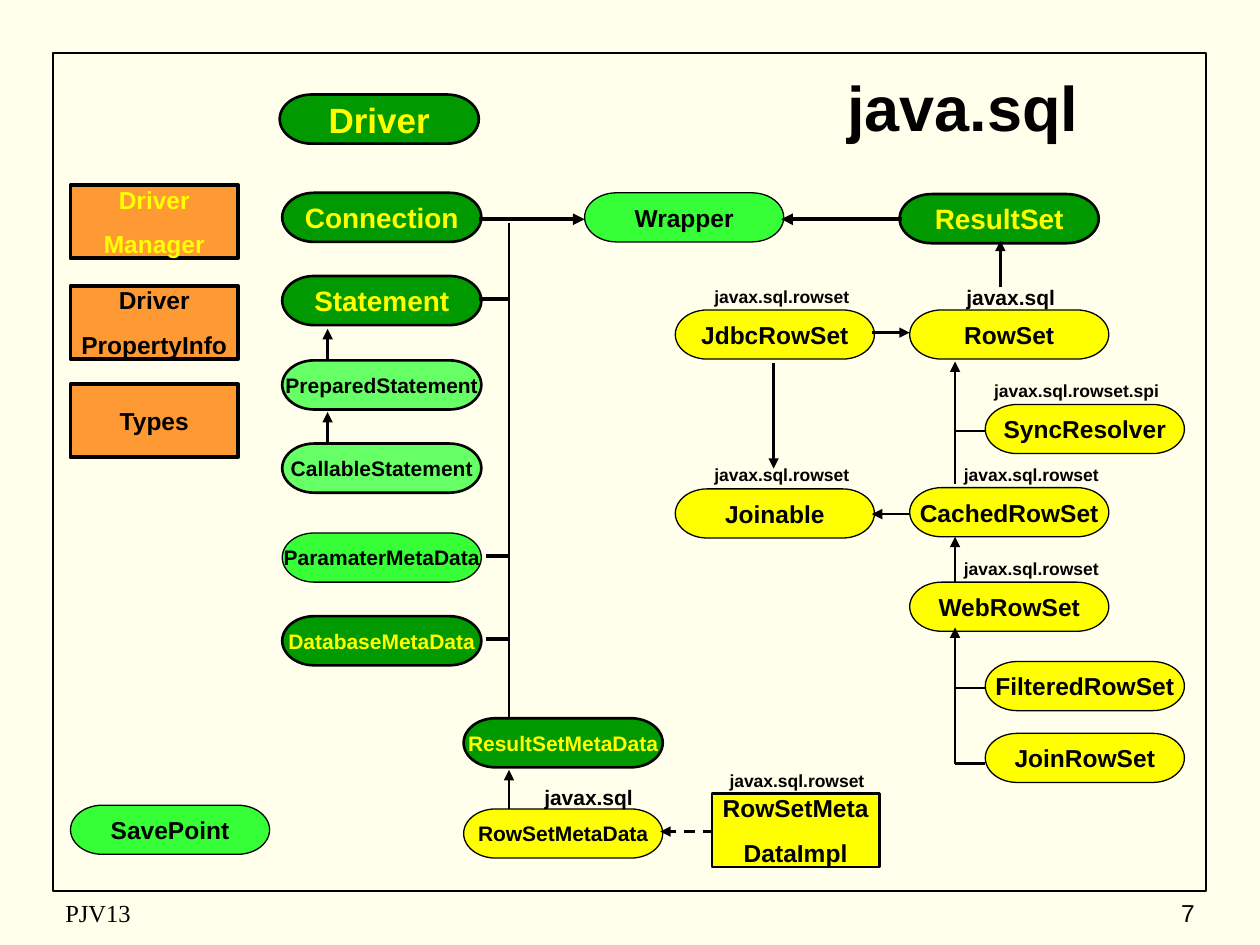
"""Draw the java.sql type map on one slide."""

import dataclasses
import typing

import lxml.etree
import pptx
import pptx.dml.color
import pptx.enum.dml
import pptx.enum.shapes
import pptx.enum.text
import pptx.oxml.ns
import pptx.util

Inches = pptx.util.Inches
Pt = pptx.util.Pt
Kind = pptx.enum.shapes.MSO_SHAPE
Align = pptx.enum.text.PP_ALIGN
Anchor = pptx.enum.text.MSO_ANCHOR


@dataclasses.dataclass(frozen=True)
class Theme:
    """Colours and type sizes of the slide."""

    paper: str = "FFFFEB"
    black: str = "000000"
    yellow: str = "FFFF00"
    dark: str = "009900"
    mid: str = "37FF37"
    pale: str = "66FF66"
    orange: str = "FF9933"
    sans: str = "Arial"
    serif: str = "Times New Roman"
    title: float = 36
    large: float = 20
    head: float = 16
    body: float = 14
    small: float = 12
    tiny: float = 10
    gap: float = 8.8


THEME = Theme()


class Look(typing.NamedTuple):
    """Shape, size and colours shared by like nodes."""

    kind: Kind
    wide: float
    high: float
    fill: str
    ink: str
    line: float


PILL = (Kind.FLOWCHART_TERMINATOR, 1.58, 0.39)
BOX = (Kind.RECTANGLE, 1.33, 0.58)
CORE = Look(*PILL, THEME.dark, THEME.yellow, 1.5)
GREEN = Look(*PILL, THEME.mid, THEME.black, 0.75)
PALE = Look(*PILL, THEME.pale, THEME.black, 1.5)
ROWS = Look(*PILL, THEME.yellow, THEME.black, 0.75)
CLASS = Look(*BOX, THEME.orange, THEME.black, 2.25)
LEAD = CLASS._replace(ink=THEME.yellow)
IMPL = Look(*BOX, THEME.yellow, THEME.black, 1.5)


class Node(typing.NamedTuple):
    """One type on the map."""

    text: str
    left: float
    top: float
    look: Look
    size: float = THEME.body


class Label(typing.NamedTuple):
    """A package name above a node."""

    text: str
    left: float
    top: float
    wide: float = 1.5
    high: float = 0.27
    size: float = THEME.tiny
    inset: float = 0.25


class Link(typing.NamedTuple):
    """A straight line, with an arrow at its end unless bare."""

    x1: float
    y1: float
    x2: float
    y2: float
    width: float = 1.5
    arrow: bool = True
    dash: bool = False


LEFT, STEM, SPINE, COL, SIDE, JOIN = 2.24, 4.04, 7.58, 7.22, 7.82, 5.36
BASE = 5.7

NODES = [
    Node("Driver\nManager", 0.56, 1.47, LEAD),
    Node("Driver\nPropertyInfo", 0.56, 2.27, CLASS),
    Node("Types", 0.56, 3.05, CLASS),
    Node("SavePoint", 0.56, 6.39, GREEN),
    Node("Driver", 2.22, 0.75, CORE, THEME.large),
    Node("Connection", LEFT, 1.53, CORE, THEME.head),
    Node("Statement", LEFT, 2.19, CORE, THEME.head),
    Node("PreparedStatement", LEFT, 2.86, PALE, THEME.small),
    Node("CallableStatement", LEFT, 3.52, PALE, THEME.small),
    Node("ParamaterMetaData", LEFT, 4.23, GREEN, THEME.small),
    Node("DatabaseMetaData", LEFT, 4.89, CORE, THEME.small),
    Node("ResultSetMetaData", 3.68, BASE, CORE, THEME.small),
    Node("RowSetMetaData", 3.68, 6.42, ROWS, THEME.small),
    Node("RowSetMeta\nDataImpl", 5.65, 6.3, IMPL),
    Node("Wrapper", 4.64, 1.53, GREEN),
    Node("ResultSet", 7.14, 1.54, CORE, THEME.head),
    Node("JdbcRowSet", JOIN, 2.46, ROWS),
    Node("Joinable", JOIN, 3.88, ROWS),
    Node("RowSet", COL, 2.46, ROWS),
    Node("CachedRowSet", COL, 3.87, ROWS),
    Node("WebRowSet", COL, 4.62, ROWS),
    Node("SyncResolver", SIDE, 3.21, ROWS),
    Node("FilteredRowSet", SIDE, 5.25, ROWS),
    Node("JoinRowSet", SIDE, 5.82, ROWS),
]

SPOTS = [(5.42, 2.22), (5.42, 3.63), (7.4, 3.63), (7.4, 4.38), (5.54, 6.06)]
LABELS = [Label("javax.sql.rowset", *spot) for spot in SPOTS] + [
    Label("javax.sql.rowset.spi", 7.64, 2.97, 1.8),
    Label("javax.sql", 7.39, 2.21, 1.17, 0.3, THEME.small, 0.28),
    Label("javax.sql", STEM, 6.18, 1.17, 0.3, THEME.small, 0.28),
]

LINKS = [
    Link(2.6, 3.52, 2.6, 3.27),
    Link(2.6, 2.86, 2.6, 2.61),
    Link(7.16, 1.74, 6.2, 1.74, 2.25),
    Link(3.8, 1.74, 4.64, 1.74, 2.25),
    Link(STEM, BASE, STEM, 1.77, arrow=False),
    Link(STEM, 2.37, 3.8, 2.37, 2.25, False),
    Link(STEM, 4.41, 3.86, 4.41, 2.25, False),
    Link(STEM, 5.07, 3.86, 5.07, 2.25, False),
    Link(STEM, 6.42, STEM, 6.11),
    Link(5.66, 6.6, 5.24, 6.6, dash=True),
    Link(7.94, 2.28, 7.94, 1.91),
    Link(6.92, 2.64, COL, 2.64),
    Link(COL, 4.08, 6.92, 4.08),
    Link(6.14, 2.88, 6.14, 3.72),
    Link(SPINE, 3.84, SPINE, 2.87),
    Link(SPINE, 4.62, SPINE, 4.26),
    Link(SPINE, 6.06, SPINE, 4.98),
] + [Link(SPINE, y, SIDE, y, arrow=False) for y in (3.42, 5.46, 6.06)]


def paint(code: str) -> pptx.dml.color.RGBColor:
    """Turn a hex code into a colour."""
    return pptx.dml.color.RGBColor.from_string(code)


def write(shape, text: str, size: float, ink: str = THEME.black, bold: bool = True,
          face: str = THEME.sans, align: Align = Align.CENTER, wrap: bool = True) -> None:
    """Fill a shape with styled text centred in height."""
    frame = shape.text_frame
    frame.text = text
    frame.word_wrap = wrap
    frame.vertical_anchor = Anchor.MIDDLE
    for index, para in enumerate(frame.paragraphs):
        para.alignment = align
        para.space_before = Pt(THEME.gap if index else 0)
        for run in para.runs:
            font = run.font
            font.name, font.size, font.bold = face, Pt(size), bold
            font.color.rgb = paint(ink)


def outline(shape, width: float) -> None:
    """Give a shape a black line and no shadow."""
    shape.shadow.inherit = False
    shape.line.color.rgb = paint(THEME.black)
    shape.line.width = Pt(width)


def add_node(slide, node: Node) -> None:
    """Draw one type."""
    look = node.look
    spot = map(Inches, (node.left, node.top, look.wide, look.high))
    shape = slide.shapes.add_shape(look.kind, *spot)
    shape.fill.solid()
    shape.fill.fore_color.rgb = paint(look.fill)
    outline(shape, look.line)
    write(shape, node.text, node.size, look.ink, wrap=False)


def add_label(slide, label: Label) -> None:
    """Draw one package name."""
    box = slide.shapes.add_textbox(*map(Inches, label[1:5]))
    write(box, label.text, label.size, align=Align.LEFT)
    frame = box.text_frame
    frame.vertical_anchor = Anchor.TOP
    frame.margin_left = Inches(label.inset)
    frame.auto_size = pptx.enum.text.MSO_AUTO_SIZE.SHAPE_TO_FIT_TEXT


def add_link(slide, link: Link) -> None:
    """Draw one line or arrow."""
    straight = pptx.enum.shapes.MSO_CONNECTOR.STRAIGHT
    wire = slide.shapes.add_connector(straight, *map(Inches, link[:4]))
    wire.line.color.rgb = paint(THEME.black)
    wire.line.width = Pt(link.width)
    if link.dash:
        wire.line.dash_style = pptx.enum.dml.MSO_LINE.DASH
    name = pptx.oxml.ns.qn
    if link.arrow:
        lxml.etree.SubElement(wire.get_or_add_ln(), name("a:tailEnd"), type="triangle")
    lxml.etree.SubElement(wire.element.spPr, name("a:effectLst"))


def main() -> None:
    """Build and save the slide."""
    deck = pptx.Presentation()
    deck.slide_width, deck.slide_height = Inches(10), Inches(7.5)
    slide = deck.slides.add_slide(deck.slide_layouts[5])
    slide.background.fill.solid()
    slide.background.fill.fore_color.rgb = paint(THEME.paper)

    title = slide.shapes.title
    title.left, title.top, title.width, title.height = map(Inches, (6.2, 0.51, 2.88, 0.66))
    write(title, "java.sql", THEME.title)

    border = slide.shapes.add_shape(Kind.RECTANGLE, *map(Inches, (0.42, 0.42, 9.15, 6.65)))
    border.fill.background()
    outline(border, 1)

    foot = slide.shapes.add_textbox(*map(Inches, (0.42, 7.08, 3.17, 0.33)))
    write(foot, "PJV13", THEME.body, bold=False, face=THEME.serif, align=Align.LEFT)
    page = slide.shapes.add_textbox(*map(Inches, (7.5, 7.08, 2.08, 0.33)))
    write(page, "7", THEME.body, bold=False, align=Align.RIGHT)

    for draw, items in ((add_node, NODES), (add_link, LINKS), (add_label, LABELS)):
        for item in items:
            draw(slide, item)
    deck.save("out.pptx")


if __name__ == "__main__":
    main()
